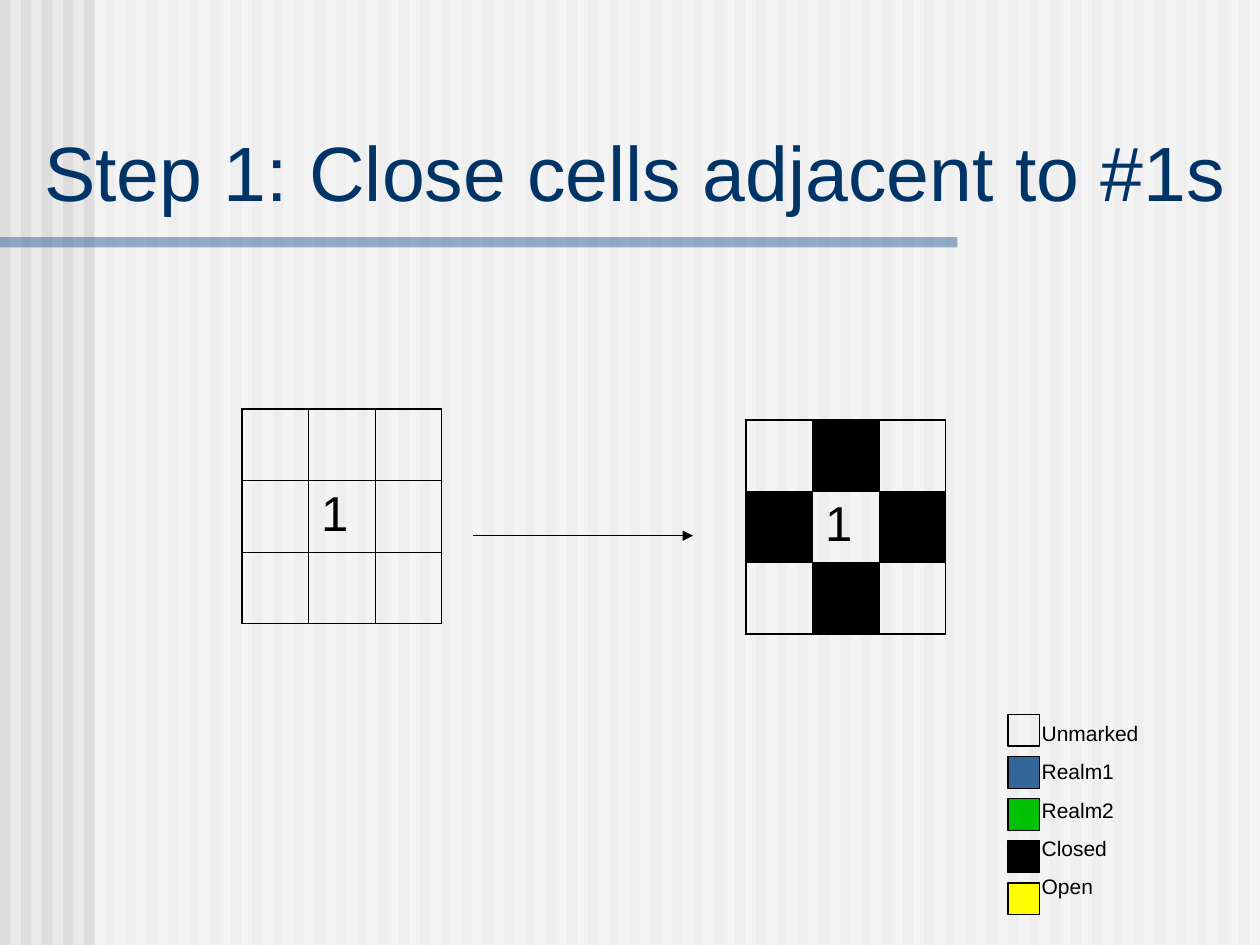
from dataclasses import dataclass
from typing import Optional

import lxml.etree
import pptx
import pptx.dml.color
import pptx.enum.shapes
import pptx.enum.text
import pptx.oxml
import pptx.oxml.ns
import pptx.util

Cm = pptx.util.Cm
Pt = pptx.util.Pt
qn = pptx.oxml.ns.qn


@dataclass(frozen=True)
class Theme:
    font: str = "Arial"
    paper: str = "EAEAEA"
    stripe: str = "DDDDDD"
    veil: str = "FFFFFF"
    blue: str = "336699"
    title: str = "003366"
    ink: str = "000000"
    green: str = "00C106"
    yellow: str = "FFFF00"
    title_size: float = 44
    clue_size: float = 28
    legend_size: float = 12
    outline: float = 0.75
    grid_outer: float = 1.08
    grid_inner: float = 0.45


@dataclass(frozen=True)
class Board:
    left: float
    top: float
    closed: frozenset


@dataclass(frozen=True)
class LegendEntry:
    label: str
    color: Optional[str]


THEME = Theme()
SLIDE_WIDTH, SLIDE_HEIGHT = 25.4, 19.05
STRIPES = 60
BOARD_SIZE = 3
CELL_WIDTH, CELL_HEIGHT = 1.34, 1.44
CENTER = (1, 1)
ADJACENT = frozenset({(0, 1), (1, 0), (1, 2), (2, 1)})
BOARDS = [Board(4.88, 8.25, frozenset()), Board(15.04, 8.46, ADJACENT)]
LEGEND = [
    LegendEntry("Unmarked", None),
    LegendEntry("Realm1", THEME.blue),
    LegendEntry("Realm2", THEME.green),
    LegendEntry("Closed", THEME.ink),
    LegendEntry("Open", THEME.yellow),
]
LEGEND_LEFT, LEGEND_TOP, LEGEND_PITCH, SWATCH = 20.32, 14.4, 0.85, 0.64


def rgb(color: str) -> pptx.dml.color.RGBColor:
    return pptx.dml.color.RGBColor.from_string(color)


def paint(fill, color: Optional[str]) -> None:
    if color is None:
        fill.background()
    else:
        fill.solid()
        fill.fore_color.rgb = rgb(color)


def add_rect(shapes, left: float, top: float, width: float, height: float,
             color: Optional[str], outlined: bool = False,
             opacity: Optional[int] = None) -> None:
    rect = shapes.add_shape(pptx.enum.shapes.MSO_SHAPE.RECTANGLE,
                            Cm(left), Cm(top), Cm(width), Cm(height))
    rect.shadow.inherit = False
    paint(rect.fill, color)
    paint(rect.line.fill, THEME.ink if outlined else None)
    if outlined:
        rect.line.width = Pt(THEME.outline)
    if opacity is not None:
        tint = rect.fill._xPr.find(qn("a:solidFill"))[0]
        lxml.etree.SubElement(tint, qn("a:alpha")).set("val", str(opacity * 1000))


def add_run(paragraph, text: str, size: float, color: str, before: float = 0) -> None:
    paragraph.alignment = pptx.enum.text.PP_ALIGN.LEFT
    paragraph.space_before = Pt(before)
    run = paragraph.add_run()
    run.text = text
    run.font.name = THEME.font
    run.font.size = Pt(size)
    run.font.color.rgb = rgb(color)


def add_backdrop(slide) -> None:
    paint(slide.background.fill, THEME.paper)
    pitch = SLIDE_WIDTH / STRIPES
    for index in range(STRIPES):
        add_rect(slide.shapes, index * pitch, 0, pitch / 2, SLIDE_HEIGHT, THEME.stripe)
    margin = 1.91
    add_rect(slide.shapes, margin, 0, SLIDE_WIDTH - margin, SLIDE_HEIGHT,
             THEME.veil, opacity=50)
    add_rect(slide.shapes, 0, 4.78, 19.3, 0.21, THEME.blue, opacity=50)


def set_title(slide, text: str) -> None:
    title = slide.shapes.title
    title.left, title.top, title.width, title.height = Cm(0.64), Cm(1.47), Cm(24.46), Cm(3.02)
    frame = title.text_frame
    frame.auto_size = pptx.enum.text.MSO_AUTO_SIZE.NONE
    frame.vertical_anchor = pptx.enum.text.MSO_ANCHOR.BOTTOM
    add_run(frame.paragraphs[0], text, THEME.title_size, THEME.title)
    # Bring the title in front of the backdrop
    slide.shapes.element.append(title.element)


def set_borders(cell, row: int, column: int) -> None:
    last = BOARD_SIZE - 1
    on_edge = {"L": column == 0, "R": column == last, "T": row == 0, "B": row == last}
    properties = cell._tc.get_or_add_tcPr()
    for side, outer in on_edge.items():
        border = lxml.etree.SubElement(properties, qn(f"a:ln{side}"))
        border.set("w", str(Pt(THEME.grid_outer if outer else THEME.grid_inner)))
        solid = lxml.etree.SubElement(border, qn("a:solidFill"))
        lxml.etree.SubElement(solid, qn("a:srgbClr")).set("val", THEME.ink)


def add_board(slide, board: Board) -> None:
    table = slide.shapes.add_table(
        BOARD_SIZE, BOARD_SIZE, Cm(board.left), Cm(board.top),
        Cm(CELL_WIDTH * BOARD_SIZE), Cm(CELL_HEIGHT * BOARD_SIZE)).table
    table.first_row = table.horz_banding = False
    for index in range(BOARD_SIZE):
        table.columns[index].width = Cm(CELL_WIDTH)
        table.rows[index].height = Cm(CELL_HEIGHT)
    for row in range(BOARD_SIZE):
        for column in range(BOARD_SIZE):
            cell = table.cell(row, column)
            set_borders(cell, row, column)
            paint(cell.fill, THEME.ink if (row, column) in board.closed else None)
    add_run(table.cell(*CENTER).text_frame.paragraphs[0], "1",
            THEME.clue_size, THEME.ink, before=7)


def add_arrow(slide, start: float, end: float, height: float) -> None:
    arrow = slide.shapes.add_connector(pptx.enum.shapes.MSO_CONNECTOR.STRAIGHT,
                                       Cm(start), Cm(height), Cm(end), Cm(height))
    arrow.line.color.rgb = rgb(THEME.ink)
    arrow.line.width = Pt(THEME.outline)
    line = arrow.line._get_or_add_ln()
    lxml.etree.SubElement(line, qn("a:tailEnd")).set("type", "triangle")
    lxml.etree.SubElement(arrow.element.spPr, qn("a:effectLst"))


def add_legend(slide) -> None:
    for index, entry in enumerate(LEGEND):
        add_rect(slide.shapes, LEGEND_LEFT, LEGEND_TOP + index * LEGEND_PITCH,
                 SWATCH, SWATCH, entry.color, outlined=True)
    labels = slide.shapes.add_textbox(Cm(20.75), Cm(LEGEND_TOP), Cm(3.81), Cm(3.86)).text_frame
    labels.word_wrap = True
    for index, entry in enumerate(LEGEND):
        paragraph = labels.add_paragraph() if index else labels.paragraphs[0]
        add_run(paragraph, entry.label, THEME.legend_size, THEME.ink, before=7.5)


def main() -> None:
    deck = pptx.Presentation()
    deck.slide_width, deck.slide_height = Cm(SLIDE_WIDTH), Cm(SLIDE_HEIGHT)
    slide = deck.slides.add_slide(deck.slide_layouts[5])

    # Backdrop and title
    add_backdrop(slide)
    set_title(slide, "Step 1: Close cells adjacent to #1s")

    # Boards before and after the step
    for board in BOARDS:
        add_board(slide, board)
    add_arrow(slide, 9.53, 13.97, 10.8)

    # Colour key
    add_legend(slide)
    deck.save("out.pptx")


if __name__ == "__main__":
    main()
